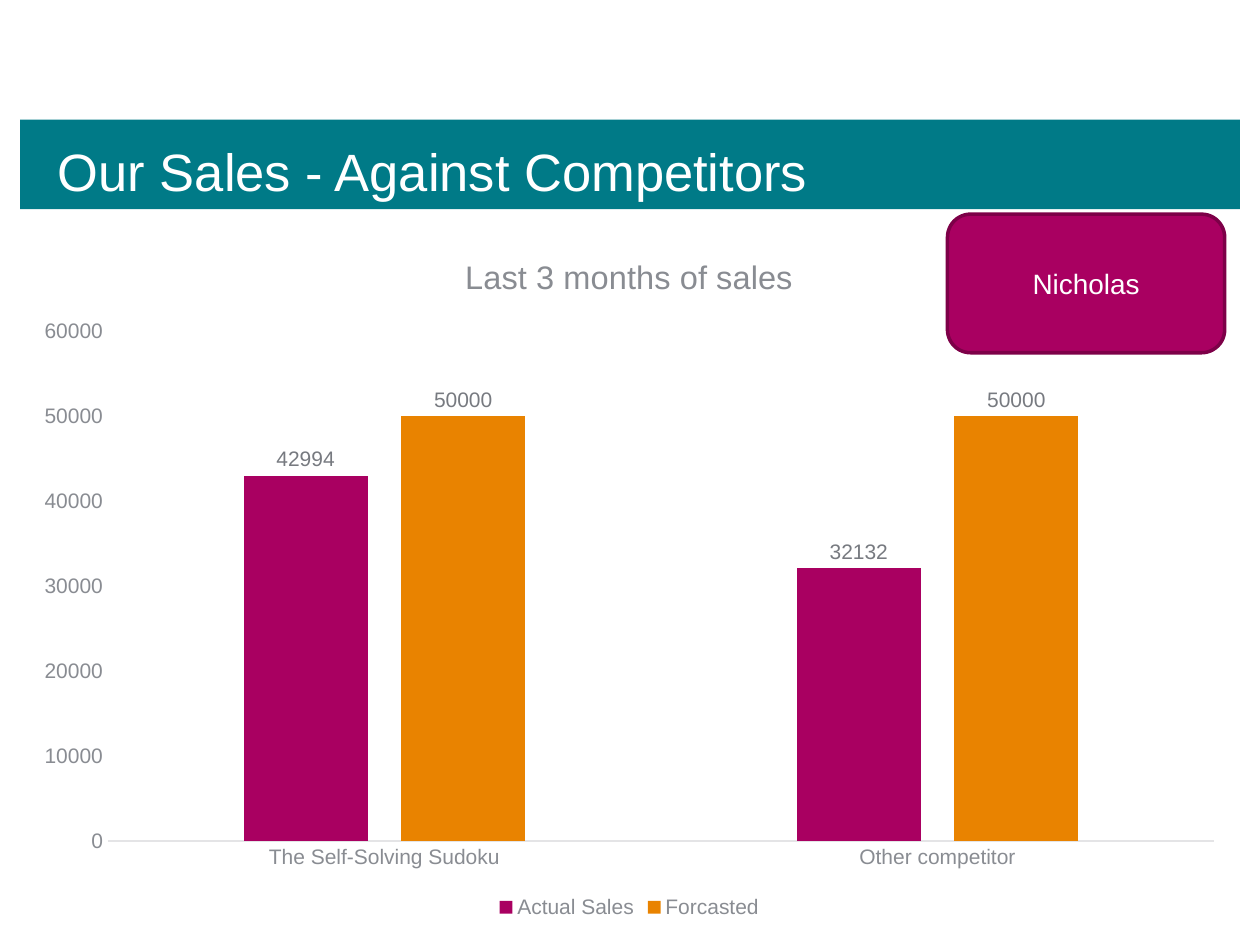
from pptx import Presentation
from pptx.chart.data import CategoryChartData
from pptx.dml.color import RGBColor
from pptx.enum.chart import XL_CHART_TYPE, XL_LABEL_POSITION, XL_LEGEND_POSITION, XL_TICK_MARK
from pptx.enum.shapes import MSO_SHAPE
from pptx.enum.text import MSO_ANCHOR, MSO_AUTO_SIZE, PP_ALIGN
from pptx.util import Inches, Pt

COLUMNS = XL_CHART_TYPE.COLUMN_CLUSTERED
OUTSIDE_END = XL_LABEL_POSITION.OUTSIDE_END
BOTTOM = XL_LEGEND_POSITION.BOTTOM
NO_TICK = XL_TICK_MARK.NONE
ROUNDED = MSO_SHAPE.ROUNDED_RECTANGLE
TOP, MIDDLE = MSO_ANCHOR.TOP, MSO_ANCHOR.MIDDLE
LEFT, CENTER = PP_ALIGN.LEFT, PP_ALIGN.CENTER
NO_AUTOFIT = MSO_AUTO_SIZE.NONE

TEAL, MAGENTA, PLUM, ORANGE = "007A87", "A90061", "7D0048", "E98300"
WHITE, GREY, DARK_GREY, PALE_GREY = "FFFFFF", "898C92", "777A80", "E4E4E6"
CATEGORIES = ["The Self-Solving Sudoku", "Other competitor"]
SALES = [
    ("Actual Sales", [42994, 32132], MAGENTA),
    ("Forcasted", [50000, 50000], ORANGE),
]


def paint(format_part, color):
    """Give a fill, or the fill of a line, one solid colour."""
    format_part.solid()
    format_part.fore_color.rgb = RGBColor.from_string(color)


def style_font(font, size, color):
    """Set the face, size and colour of a font."""
    font.name = "Arial"
    font.size = Pt(size)
    font.bold = False
    font.color.rgb = RGBColor.from_string(color)


def write(frame, text, size=16, color=WHITE, align=LEFT, anchor=TOP, insets=(0.1, 0.05, 0.1, 0.05)):
    """Put one formatted paragraph in a text frame."""
    frame.auto_size = NO_AUTOFIT
    frame.word_wrap = True
    frame.vertical_anchor = anchor
    frame.margin_left, frame.margin_top, frame.margin_right, frame.margin_bottom = map(Inches, insets)
    paragraph = frame.paragraphs[0]
    paragraph.alignment = align
    run = paragraph.add_run()
    run.text = text
    style_font(run.font, size, color)


def add_title_band(slide, left, top, width, height):
    """Turn the title placeholder into the teal heading band."""
    heading = slide.shapes.title
    heading.left, heading.top = Inches(left), Inches(top)
    heading.width, heading.height = Inches(width), Inches(height)
    paint(heading.fill, TEAL)
    write(heading.text_frame, "Our Sales - Against Competitors", size=30,
          insets=(0.3, 0.15, 0.25, 0.05))


def style_axis(axis):
    """Strip ticks and gridlines from an axis and set its labels."""
    axis.has_major_gridlines = False
    axis.major_tick_mark = axis.minor_tick_mark = NO_TICK
    style_font(axis.tick_labels.font, 12, GREY)


def add_sales_chart(slide, left, top, width, height):
    """Draw actual against forecast sales as clustered columns."""
    data = CategoryChartData()
    data.categories = CATEGORIES
    for name, values, _ in SALES:
        data.add_series(name, values)
    chart = slide.shapes.add_chart(
        COLUMNS, Inches(left), Inches(top), Inches(width), Inches(height), data).chart
    style_font(chart.font, 10, "4D4F53")

    chart.has_title = True
    heading = chart.chart_title.text_frame.paragraphs[0].add_run()
    heading.text = "Last 3 months of sales"
    style_font(heading.font, 18.6, GREY)
    chart.chart_title.include_in_layout = False

    chart.has_legend = True
    chart.legend.position = BOTTOM
    chart.legend.include_in_layout = False
    style_font(chart.legend.font, 12, GREY)

    style_axis(chart.category_axis)
    baseline = chart.category_axis.format.line
    paint(baseline.fill, PALE_GREY)
    baseline.width = Pt(0.75)
    style_axis(chart.value_axis)
    chart.value_axis.format.line.fill.background()

    plot = chart.plots[0]
    plot.vary_by_categories = False
    plot.gap_width, plot.overlap = 219, -27
    for series, (_, _, color) in zip(plot.series, SALES):
        paint(series.format.fill, color)
        labels = series.data_labels
        labels.show_value = True
        labels.position = OUTSIDE_END
        style_font(labels.font, 12, DARK_GREY)


def add_presenter_badge(slide, left, top, width, height):
    """Place the rounded badge with the presenter's name."""
    badge = slide.shapes.add_shape(
        ROUNDED, Inches(left), Inches(top), Inches(width), Inches(height))
    badge.shadow.inherit = False
    paint(badge.fill, MAGENTA)
    paint(badge.line.fill, PLUM)
    badge.line.width = Pt(2)
    write(badge.text_frame, "Nicholas", align=CENTER, anchor=MIDDLE)


def main():
    """Build the sales slide and save it."""
    deck = Presentation()
    deck.slide_width, deck.slide_height = Inches(10), Inches(7.5)
    slide = deck.slides.add_slide(deck.slide_layouts[5])
    add_title_band(slide, 0.16, 0.95, 9.68, 0.71)
    add_sales_chart(slide, 0.16, 1.82, 9.67, 5.51)
    add_presenter_badge(slide, 7.52, 1.7, 2.2, 1.1)
    deck.save("out.pptx")


if __name__ == "__main__":
    main()
